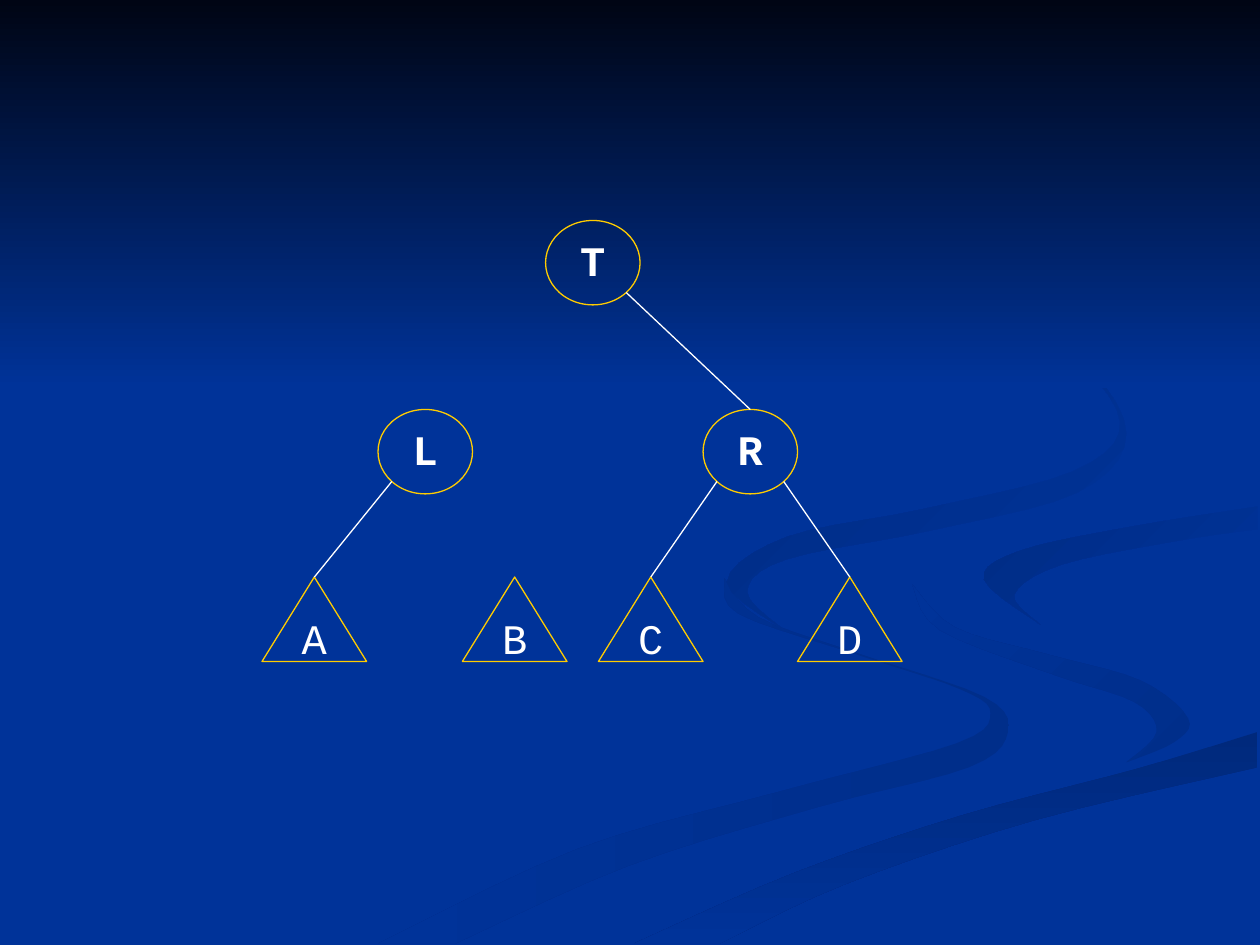
import math

import pptx
import pptx.dml.color
import pptx.enum.shapes
import pptx.enum.text
import pptx.oxml
import pptx.util

Inches = pptx.util.Inches
Shape = pptx.enum.shapes.MSO_SHAPE

THEME = {
    "blue": "003399", "night": "000514", "outline": "FFCC00", "text": "FFFFFF",
    "swirl": "002E8A", "stream": "00297C", "bend": "002C85", "tail": "002B81",
    "font": "Courier New", "size": 24, "line": 0.75,
}


def color(name):
    return pptx.dml.color.RGBColor.from_string(THEME[name])


def write_label(shape, text, bold=False):
    frame = shape.text_frame
    frame.word_wrap = False
    frame.vertical_anchor = pptx.enum.text.MSO_ANCHOR.MIDDLE
    para = frame.paragraphs[0]
    para.alignment = pptx.enum.text.PP_ALIGN.CENTER
    para.line_spacing = 0.9
    para.space_before = pptx.util.Pt(6)
    span = para.add_run()
    span.text = text
    span.font.name = THEME["font"]
    span.font.size = pptx.util.Pt(THEME["size"])
    span.font.bold = bold
    span.font.color.rgb = color("text")


deck = pptx.Presentation()
deck.slide_width, deck.slide_height = Inches(10), Inches(7.5)
page = deck.slides.add_slide(deck.slide_layouts[6])
page.background.fill.solid()
page.background.fill.fore_color.rgb = color("blue")

# Background ribbons: start colour, end colour, clockwise angle, two curved edges
ribbons = [
    ("swirl", "blue", 180,
     [(5.75, 4.59), (5.86, 4.87), (6.79, 5.19), (7.62, 5.47), (7.86, 5.66),
      (7.59, 5.9), (6.16, 6.29), (4.58, 6.74), (3, 7.49)],
     [(3.61, 7.49), (4.99, 6.87), (6.51, 6.4), (7.69, 6.09), (8, 5.81),
      (7.81, 5.53), (6.82, 5.19), (6.02, 4.9), (5.75, 4.59)]),
    ("swirl", "blue", 225,
     [(7.24, 4.64), (7.46, 5), (8.38, 5.36), (9, 5.57), (9.18, 5.81), (8.94, 6.05)],
     [(8.94, 6.05), (9.32, 5.89), (9.43, 5.7), (9.05, 5.4), (8.3, 5.19),
      (7.58, 4.98), (7.24, 4.64)]),
    ("stream", "blue", 90,
     [(5.03, 7.49), (6.3, 6.93), (7.64, 6.47), (9.03, 6.1), (9.98, 5.81)],
     [(9.98, 6.09), (8.21, 6.51), (6.7, 7.02), (5.71, 7.49)]),
    ("blue", "bend", 225,
     [(9.98, 4.02), (8.98, 4.18), (8.1, 4.37), (7.81, 4.6), (8.26, 4.96)],
     [(8.26, 4.96), (8.05, 4.72), (8.43, 4.48), (9.36, 4.29), (9.98, 4.2)]),
    ("blue", "tail", 225,
     [(7.62, 2.33), (8.46, 2.79), (8.89, 3.35), (8.52, 3.74), (7.33, 4.04),
      (6.25, 4.26), (5.77, 4.62), (6.22, 5)],
     [(6.22, 5), (5.93, 4.7), (6.24, 4.44), (7.39, 4.21), (8.55, 3.91),
      (8.94, 3.44), (8.54, 2.83), (7.62, 2.33)]),
]
backdrops = []
steps = 5
for start, end, angle, *edges in ribbons:
    points = []
    for edge in edges:
        # Catmull-Rom curve through the points of the edge
        padded = [edge[0], *edge, edge[-1]]
        for a, b, c, d in zip(padded, padded[1:], padded[2:], padded[3:]):
            for step in range(steps):
                t = step / steps
                points.append(tuple(
                    Inches(q + t / 2 * (r - p + t * (2 * p - 5 * q + 4 * r - s
                                                     + t * (3 * (q - r) + s - p))))
                    for p, q, r, s in zip(a, b, c, d)))
        points.append(tuple(Inches(value) for value in edge[-1]))
    builder = page.shapes.build_freeform(*points[0], scale=1.0)
    builder.add_line_segments(points[1:], close=True)
    backdrops.append((builder.convert_to_shape(), start, end, angle))

# Dark sky across the top
sky = page.shapes.add_shape(Shape.RECTANGLE, 0, 0, deck.slide_width, Inches(3.08))
backdrops.append((sky, "night", "blue", 90))

for shape, start, end, angle in backdrops:
    shape.shadow.inherit = False
    shape.line.fill.background()
    shape.fill.gradient()
    shape.fill.gradient_angle = 360 - angle
    for stop, name in zip(shape.fill.gradient_stops, (start, end)):
        stop.color.rgb = color(name)

# Tree nodes (circles) and subtrees (triangles)
node_width, subtree_width, height = 0.75, 0.83, 0.67
subtree_top = 4.58
places = {
    "T": (4.33, 1.75), "L": (3, 3.25), "R": (5.58, 3.25),
    "A": (2.08, subtree_top), "B": (3.67, subtree_top),
    "C": (4.75, subtree_top), "D": (6.33, subtree_top),
}
shapes = {}
for name, (left, top) in places.items():
    is_node = name in "TLR"
    kind = Shape.OVAL if is_node else Shape.ISOSCELES_TRIANGLE
    width = node_width if is_node else subtree_width
    shape = page.shapes.add_shape(kind, Inches(left), Inches(top), Inches(width), Inches(height))
    shape.shadow.inherit = False
    shape.fill.background()
    shape.line.color.rgb = color("outline")
    shape.line.width = pptx.util.Pt(THEME["line"])
    write_label(shape, name, bold=is_node)
    shapes[name] = shape

# Branches leave a circle at 45 degrees and end on top of the child
diagonal = math.sqrt(0.5)
for parent, child, side in [("L", "A", -1), ("T", "R", 1), ("R", "C", -1), ("R", "D", 1)]:
    left, top = places[parent]
    start_x = Inches(left + node_width / 2 * (1 + side * diagonal))
    start_y = Inches(top + height / 2 * (1 + diagonal))
    branch = page.shapes.add_connector(
        pptx.enum.shapes.MSO_CONNECTOR.STRAIGHT, start_x, start_y, start_x, start_y)
    branch.end_connect(shapes[child], 0)
    branch.line.color.rgb = color("text")
    branch.line.width = pptx.util.Pt(THEME["line"])
    branch._element.spPr.append(pptx.oxml.parse_xml(
        '<a:effectLst xmlns:a="http://schemas.openxmlformats.org/drawingml/2006/main"/>'))

deck.save("out.pptx")
